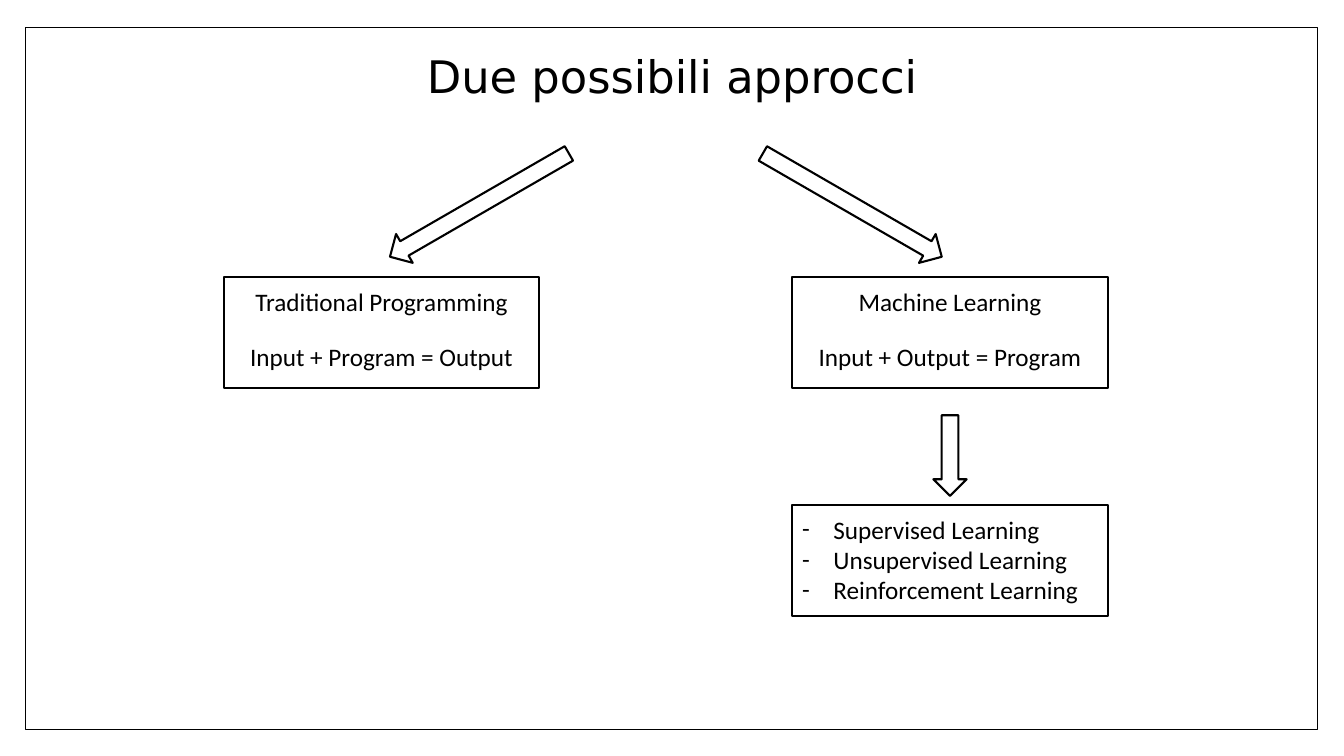
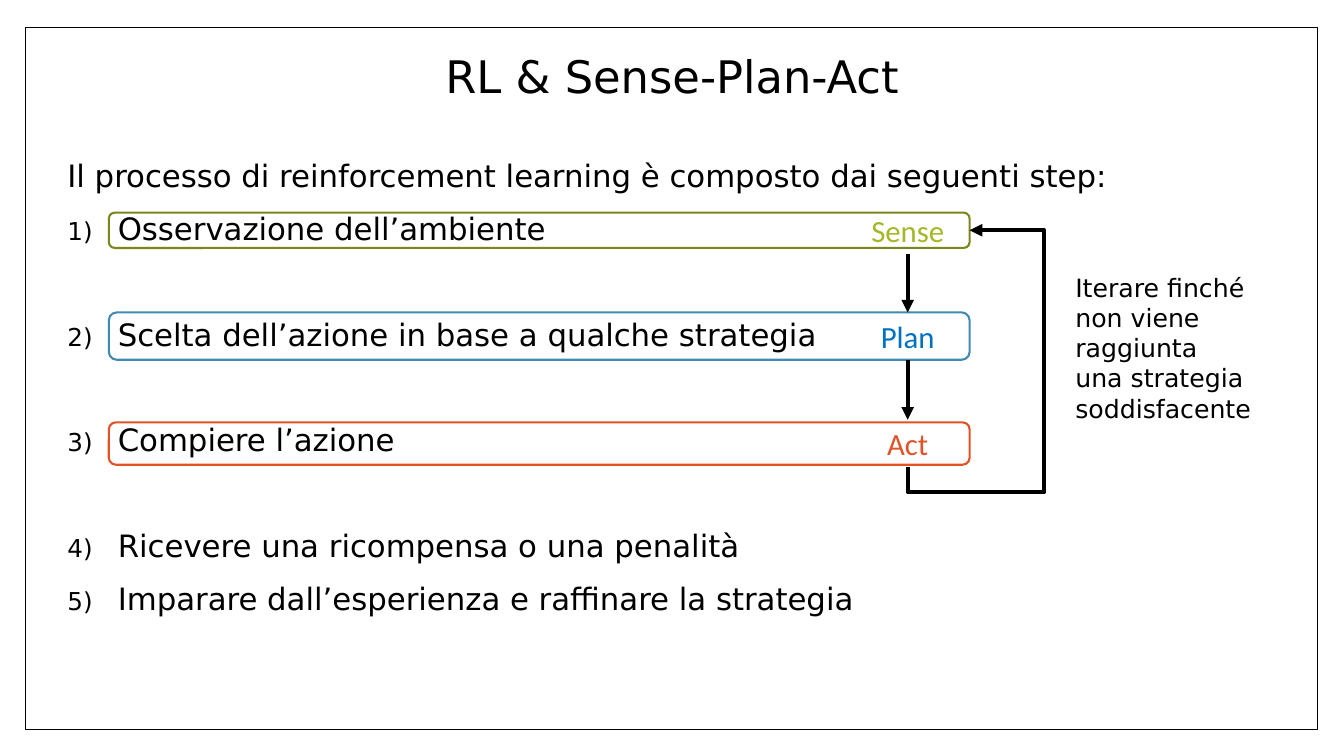
import dataclasses

import lxml.etree
import pptx
import pptx.dml.color
import pptx.enum.shapes
import pptx.enum.text
import pptx.oxml.ns
import pptx.util

Pt = pptx.util.Pt
Inches = pptx.util.Inches
SHAPE = pptx.enum.shapes.MSO_SHAPE
CONNECTOR = pptx.enum.shapes.MSO_CONNECTOR
ALIGN = pptx.enum.text.PP_ALIGN
ANCHOR = pptx.enum.text.MSO_ANCHOR
qn = pptx.oxml.ns.qn


@dataclasses.dataclass(frozen=True)
class Theme:
    """Colours, fonts and sizes shared by the slides."""
    ink: str = "000000"
    olive: str = "7B871D"
    lime: str = "A6B727"
    steel: str = "418AB3"
    blue: str = "0070C0"
    orange: str = "DF5327"
    heading_font: str = "DejaVu Sans"
    label_font: str = "Calibri"
    title_size: int = 32
    body_size: int = 22
    small_size: int = 18
    frame_line: float = 1
    shape_line: float = 1.5
    arrow_line: float = 3


@dataclasses.dataclass(frozen=True)
class Box:
    """A rectangle in slide units."""
    left: int
    top: int
    width: int
    height: int

    def inner(self, left, top, width, height):
        """Return the inner box given in percent of this one."""
        return Box(self.left + round(self.width * left / 100), self.top + round(self.height * top / 100),
                   round(self.width * width / 100), round(self.height * height / 100))

    def bounds(self):
        """Return left, top, width and height."""
        return self.left, self.top, self.width, self.height


THEME = Theme()
TITLE_BOX = (3.83, 6.27, 92.4, 8.4)
FRAME_BOX = (1.88, 3.6, 96.15, 92.93)
BODY_FORMAT = {"line_spacing": 0.9, "space_before": Pt(14)}
STEPS = [
    ("Osservazione dell’ambiente", 14),
    ("Scelta dell’azione in base a qualche strategia", 51.7),
    ("Compiere l’azione", 51.7),
    ("Ricevere una ricompensa o una penalità", 51.7),
    ("Imparare dall’esperienza e raffinare la strategia", 14),
]
PHASES = [
    ("Sense", 28.13, 4.67, THEME.olive, THEME.lime),
    ("Plan", 41.33, 6.27, THEME.steel, THEME.blue),
    ("Act", 55.87, 5.6, THEME.orange, THEME.orange),
]


def apply(target, values):
    """Set each attribute named in the dict."""
    for name, value in values.items():
        setattr(target, name, value)


def rgb(colour):
    """Return a colour object for a hex value."""
    return pptx.dml.color.RGBColor.from_string(colour)


def add_outline(slide, kind, box, colour=THEME.ink, weight=THEME.shape_line, rotation=0):
    """Add an unfilled preset shape."""
    shape = slide.shapes.add_shape(kind, *box.bounds())
    shape.fill.background()
    shape.line.color.rgb = rgb(colour)
    shape.line.width = Pt(weight)
    shape.shadow.inherit = False
    shape.rotation = rotation
    return shape


def add_paragraph(frame, text, size, font, colour=THEME.ink, **layout):
    """Write the text in the next free paragraph of the frame."""
    paragraph = frame.paragraphs[0] if not frame.text else frame.add_paragraph()
    apply(paragraph, layout)
    run = paragraph.add_run()
    run.text = text
    apply(run.font, {"size": Pt(size), "name": font})
    run.font.color.rgb = rgb(colour)
    return paragraph


def add_text_box(slide, box, anchor=ANCHOR.TOP):
    """Add an empty wrapping text box."""
    shape = slide.shapes.add_textbox(*box.bounds())
    apply(shape.text_frame, {"word_wrap": True, "vertical_anchor": anchor})
    return shape


def set_indent(paragraph, margin, hanging=0, bullets=()):
    """Set the indents in inches and append the bullet elements."""
    properties = paragraph._p.get_or_add_pPr()
    properties.set("marL", str(Inches(margin)))
    properties.set("indent", str(-Inches(hanging)))
    for tag, attributes in bullets:
        lxml.etree.SubElement(properties, qn(tag), attributes)


def add_arrow(slide, kind, start, start_site, end, end_site):
    """Join two shapes with an arrow."""
    connector = slide.shapes.add_connector(kind, 0, 0, 0, 0)
    connector.begin_connect(start, start_site)
    connector.end_connect(end, end_site)
    connector.line.color.rgb = rgb(THEME.ink)
    connector.line.width = Pt(THEME.arrow_line)
    lxml.etree.SubElement(connector.line._get_or_add_ln(), qn("a:tailEnd"), {"type": "triangle"})
    lxml.etree.SubElement(connector._element.spPr, qn("a:effectLst"))
    return connector


def add_loop(slide, start, end, drop, reach):
    """Lead an arrow from the bottom of one shape around to the right side of another."""
    connector = add_arrow(slide, CONNECTOR.ELBOW, start, 2, end, 3)
    from_x, from_y = start.left + start.width // 2, start.top + start.height
    to_x, to_y = end.left + end.width, end.top + end.height // 2
    across, rise = to_x - from_x, from_y - to_y
    apply(connector, {"left": (from_x + to_x - rise) // 2, "top": (from_y + to_y - across) // 2,
                      "width": rise, "height": across})
    properties = connector._element.spPr
    for name, value in {"rot": "5400000", "flipH": "1", "flipV": "1"}.items():
        properties.find(qn("a:xfrm")).set(name, value)
    geometry = properties.find(qn("a:prstGeom"))
    geometry.set("prst", "bentConnector4")
    guides = geometry.find(qn("a:avLst"))
    if guides is None:
        guides = lxml.etree.SubElement(geometry, qn("a:avLst"))
    for name, share in (("adj1", -drop / rise), ("adj2", 1 + reach / across)):
        lxml.etree.SubElement(guides, qn("a:gd"), {"name": name, "fmla": f"val {round(share * 100000)}"})


def add_framed_slide(presentation, title):
    """Add a slide with the shared frame and title, and return it with its box."""
    slide = presentation.slides.add_slide(presentation.slide_layouts[6])
    page = Box(0, 0, presentation.slide_width, presentation.slide_height)
    add_outline(slide, SHAPE.RECTANGLE, page.inner(*FRAME_BOX), weight=THEME.frame_line)
    frame = add_text_box(slide, page.inner(*TITLE_BOX), ANCHOR.MIDDLE).text_frame
    add_paragraph(frame, title, THEME.title_size, THEME.heading_font, alignment=ALIGN.CENTER, line_spacing=0.9)
    return slide, page


def add_card(slide, box, lines, bulleted=False):
    """Add an outlined card with a heading and formula, or with a dashed list."""
    frame = add_outline(slide, SHAPE.RECTANGLE, box).text_frame
    apply(frame, {"word_wrap": True, "vertical_anchor": ANCHOR.TOP, "margin_top": Inches(0.09)})
    for index, text in enumerate(lines):
        paragraph = add_paragraph(frame, text, THEME.small_size, THEME.label_font,
                                  alignment=ALIGN.LEFT if bulleted else ALIGN.CENTER,
                                  space_before=Pt(17.6 if index and not bulleted else 0))
        if bulleted:
            set_indent(paragraph, 0.31, 0.31, [("a:buFont", {"typeface": THEME.label_font}),
                                               ("a:buChar", {"char": "-"})])


def add_approaches(slide, page):
    """Draw the two approaches and the kinds of machine learning."""
    traditional = page.inner(16.65, 36.67, 23.48, 14.67)
    learning = page.inner(58.95, 36.67, 23.48, 14.67)
    kinds = page.inner(58.95, 66.8, 23.48, 14.67)
    for left, rotation in ((34.43, 60), (62.18, 300)):
        add_outline(slide, SHAPE.DOWN_ARROW, page.inner(left, 13.47, 2.48, 27.33), rotation=rotation)
    add_outline(slide, SHAPE.DOWN_ARROW, page.inner(58.95 + (23.48 - 2.48) / 2, 54.93, 2.48, 10.67))
    add_card(slide, traditional, ["Traditional Programming", "Input + Program = Output"])
    add_card(slide, learning, ["Machine Learning", "Input + Output = Program"])
    add_card(slide, kinds, ["Supervised Learning", "Unsupervised Learning", "Reinforcement Learning"], bulleted=True)


def add_steps(slide, box):
    """Write the introduction and the numbered steps."""
    frame = add_text_box(slide, box).text_frame
    introduction = add_paragraph(frame, "Il processo di reinforcement learning è composto dai seguenti step:",
                                 THEME.body_size, THEME.heading_font, **BODY_FORMAT)
    set_indent(introduction, 0.05)
    for text, gap in STEPS:
        paragraph = add_paragraph(frame, text, THEME.body_size, THEME.heading_font,
                                  **{**BODY_FORMAT, "space_before": Pt(gap)})
        set_indent(paragraph, 0.55, 0.5, [("a:buSzPct", {"val": "80000"}),
                                          ("a:buFont", {"typeface": THEME.heading_font}),
                                          ("a:buAutoNum", {"type": "arabicParenR"})])


def add_cycle(slide, page):
    """Outline the three phases and link them in a loop."""
    labels = []
    for name, top, height, outline, colour in PHASES:
        add_outline(slide, SHAPE.ROUNDED_RECTANGLE, page.inner(8.1, top, 64.05, height), outline)
        label = add_text_box(slide, page.inner(62.93, top + (height - 6.27) / 2, 9.22, 6.27))
        add_paragraph(label.text_frame, name, THEME.body_size, THEME.label_font, colour, alignment=ALIGN.CENTER)
        labels.append(label)
    for upper, lower in zip(labels, labels[1:]):
        add_arrow(slide, CONNECTOR.STRAIGHT, upper, 2, lower, 0)
    reach = page.inner(0, 0, 5.55, 3.33)
    add_loop(slide, labels[-1], labels[0], reach.height, reach.width)


def add_note(slide, box):
    """Write the remark beside the loop."""
    frame = add_text_box(slide, box).text_frame
    paragraph = add_paragraph(frame, "Iterare finché non viene raggiunta una strategia soddisfacente",
                              THEME.small_size, THEME.heading_font)
    set_indent(paragraph, 0.05)


def main():
    """Build and save the presentation."""
    presentation = pptx.Presentation()
    apply(presentation, {"slide_width": pptx.util.Emu(12192000), "slide_height": Inches(7.5)})
    add_approaches(*add_framed_slide(presentation, "Due possibili approcci"))
    slide, page = add_framed_slide(presentation, "RL & Sense-Plan-Act")
    add_steps(slide, page.inner(3.9, 20.67, 80.03, 66.27))
    add_cycle(slide, page)
    add_note(slide, page.inner(78.9, 35.33, 15, 21.6))
    presentation.save("out.pptx")


if __name__ == "__main__":
    main()
